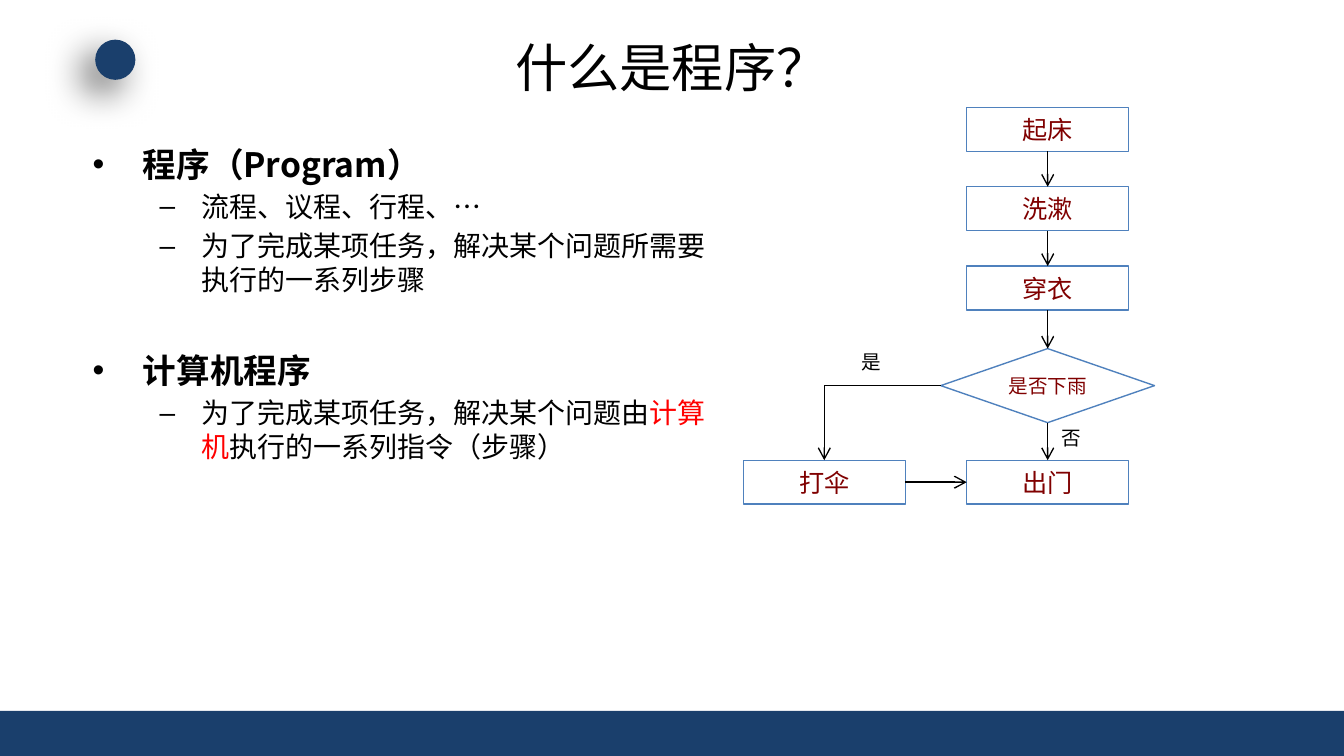
from dataclasses import dataclass

from lxml import etree
from pptx import Presentation
from pptx import util as u
from pptx.dml.color import RGBColor
from pptx.enum import shapes, text
from pptx.oxml import ns


@dataclass(frozen=True)
class Theme:
    font: str = "Noto Sans CJK SC"
    navy: str = "1A3F6C"
    outline: str = "4F81BD"
    step: str = "800000"
    ink: str = "000000"
    accent: str = "FF0000"
    title_size: float = 28
    heading_size: float = 18
    point_size: float = 15
    step_size: float = 13.5
    label_size: float = 10.5


theme = Theme()


def add_element(parent, tag, **attributes):
    return etree.SubElement(parent, ns.qn(tag), attributes)


def style_runs(paragraph, size, color, bold=False):
    """Format every run, covering both Latin and East Asian type."""
    for run in paragraph.runs:
        run.font.size = u.Pt(size)
        run.font.bold = bold
        run.font.color.rgb = RGBColor.from_string(color)
        run.font.name = theme.font
        add_element(run._r.get_or_add_rPr(), "a:ea", typeface=theme.font)


presentation = Presentation()
presentation.slide_width = u.Cm(25.4)
presentation.slide_height = u.Cm(14.29)
slide = presentation.slides.add_slide(presentation.slide_layouts[6])

# Footer band and corner dot
decorations = [
    (shapes.MSO_SHAPE.RECTANGLE, 0, 13.44, 25.4, 0.85),
    (shapes.MSO_SHAPE.OVAL, 1.8, 0.75, 0.76, 0.76),
]
for kind, *box in decorations:
    shape = slide.shapes.add_shape(kind, *map(u.Cm, box))
    shape.shadow.inherit = False
    shape.fill.solid()
    shape.fill.fore_color.rgb = RGBColor.from_string(theme.navy)
    shape.line.fill.background()

# The dot, last in the loop, casts a soft shadow to the lower left
effects = shape._element.spPr.find(ns.qn("a:effectLst"))
shadow = add_element(effects, "a:outerShdw", blurRad=str(u.Pt(20)), dist=str(u.Pt(10)),
                     dir="8100000", algn="tr", rotWithShape="0")
shadow_color = add_element(shadow, "a:srgbClr", val=theme.ink)
add_element(shadow_color, "a:alpha", val="60000")

# Title
title = slide.shapes.add_textbox(u.Cm(1.27), u.Cm(0.56), u.Cm(22.86), u.Cm(1.4))
title.text_frame.word_wrap = True
title.text_frame.vertical_anchor = text.MSO_ANCHOR.MIDDLE
title.text_frame.text = "什么是程序？"
paragraph = title.text_frame.paragraphs[0]
paragraph.alignment = text.PP_ALIGN.CENTER
style_runs(paragraph, theme.title_size, theme.ink)

# Definitions: level, space before in points, text segments
definitions = [
    (0, 0, ["程序（Program）"]),
    (1, 3, ["流程、议程、行程、…"]),
    (1, 3, ["为了完成某项任务，解决某个问题所需要执行的一系列步骤"]),
    (0, 29, ["计算机程序"]),
    (1, 3, ["为了完成某项任务，解决某个问题由", "计算机", "执行的一系列指令（步骤）"]),
]
# Per level: bullet, left margin, hanging indent, size, bold
levels = [
    ("•", 0.95, 0.95, theme.heading_size, True),
    ("–", 2.06, 0.79, theme.point_size, False),
]
body = slide.shapes.add_textbox(u.Cm(1.5), u.Cm(2.59), u.Cm(12.37), u.Cm(10.31))
body.text_frame.word_wrap = True
for index, (level, space, segments) in enumerate(definitions):
    bullet, margin, hanging, size, bold = levels[level]
    paragraph = body.text_frame.paragraphs[0] if index == 0 else body.text_frame.add_paragraph()
    paragraph.level = level
    paragraph.space_before = u.Pt(space)
    properties = paragraph._p.get_or_add_pPr()
    properties.set("marL", str(u.Cm(margin)))
    properties.set("indent", str(-u.Cm(hanging)))
    add_element(properties, "a:buFont", typeface="Arial")
    add_element(properties, "a:buChar", char=bullet)
    for segment in segments:
        paragraph.add_run().text = segment
    style_runs(paragraph, size, theme.ink, bold)
# The last definition stresses its middle segment
paragraph.runs[1].font.color.rgb = RGBColor.from_string(theme.accent)

# Flowchart steps: name, centre x, top
main_x, side_x = 19.8, 15.58
step_names = [
    ("起床", main_x, 2.03),
    ("洗漱", main_x, 3.53),
    ("穿衣", main_x, 5.03),
    ("是否下雨", main_x, 6.59),
    ("打伞", side_x, 8.7),
    ("出门", main_x, 8.7),
]
steps = {}
for name, center, top in step_names:
    if name == "是否下雨":
        kind, width, height, size = shapes.MSO_SHAPE.DIAMOND, 4.04, 1.4, theme.label_size
    else:
        kind, width, height, size = shapes.MSO_SHAPE.RECTANGLE, 3.06, 0.83, theme.step_size
    shape = slide.shapes.add_shape(kind, u.Cm(center - width / 2), u.Cm(top),
                                   u.Cm(width), u.Cm(height))
    shape.shadow.inherit = False
    shape.fill.background()
    shape.line.color.rgb = RGBColor.from_string(theme.outline)
    shape.line.width = u.Pt(0.75)
    frame = shape.text_frame
    frame.margin_left = frame.margin_right = frame.margin_top = frame.margin_bottom = 0
    frame.vertical_anchor = text.MSO_ANCHOR.MIDDLE
    frame.text = name
    frame.paragraphs[0].alignment = text.PP_ALIGN.CENTER
    style_runs(frame.paragraphs[0], size, theme.step)
    steps[name] = shape

# Arrows between connection sites
TOP, LEFT, BOTTOM, RIGHT = range(4)
arrows = [
    ("起床", BOTTOM, "洗漱", TOP),
    ("洗漱", BOTTOM, "穿衣", TOP),
    ("穿衣", BOTTOM, "是否下雨", TOP),
    ("是否下雨", BOTTOM, "出门", TOP),
    ("是否下雨", LEFT, "打伞", TOP),
    ("打伞", RIGHT, "出门", LEFT),
]
for start, start_site, end, end_site in arrows:
    bent = (start_site, end_site) == (LEFT, TOP)
    kind = shapes.MSO_CONNECTOR.ELBOW if bent else shapes.MSO_CONNECTOR.STRAIGHT
    connector = slide.shapes.add_connector(kind, 0, 0, 0, 0)
    connector.begin_connect(steps[start], start_site)
    connector.end_connect(steps[end], end_site)
    connector.line.color.rgb = RGBColor.from_string(theme.ink)
    connector.line.width = u.Pt(0.75)
    add_element(connector.line._get_or_add_ln(), "a:tailEnd", type="arrow")
    connector_properties = connector._element.spPr
    add_element(connector_properties, "a:effectLst")
    if bent:
        connector_properties.find(ns.qn("a:prstGeom")).set("prst", "bentConnector2")

# Branch labels
for label, left, top in [("是", 16.03, 6.49), ("否", 19.81, 7.92)]:
    box = slide.shapes.add_textbox(u.Cm(left), u.Cm(top), u.Cm(0.89), u.Cm(0.71))
    box.text_frame.word_wrap = False
    box.text_frame.text = label
    style_runs(box.text_frame.paragraphs[0], theme.label_size, theme.ink)

presentation.save("out.pptx")
